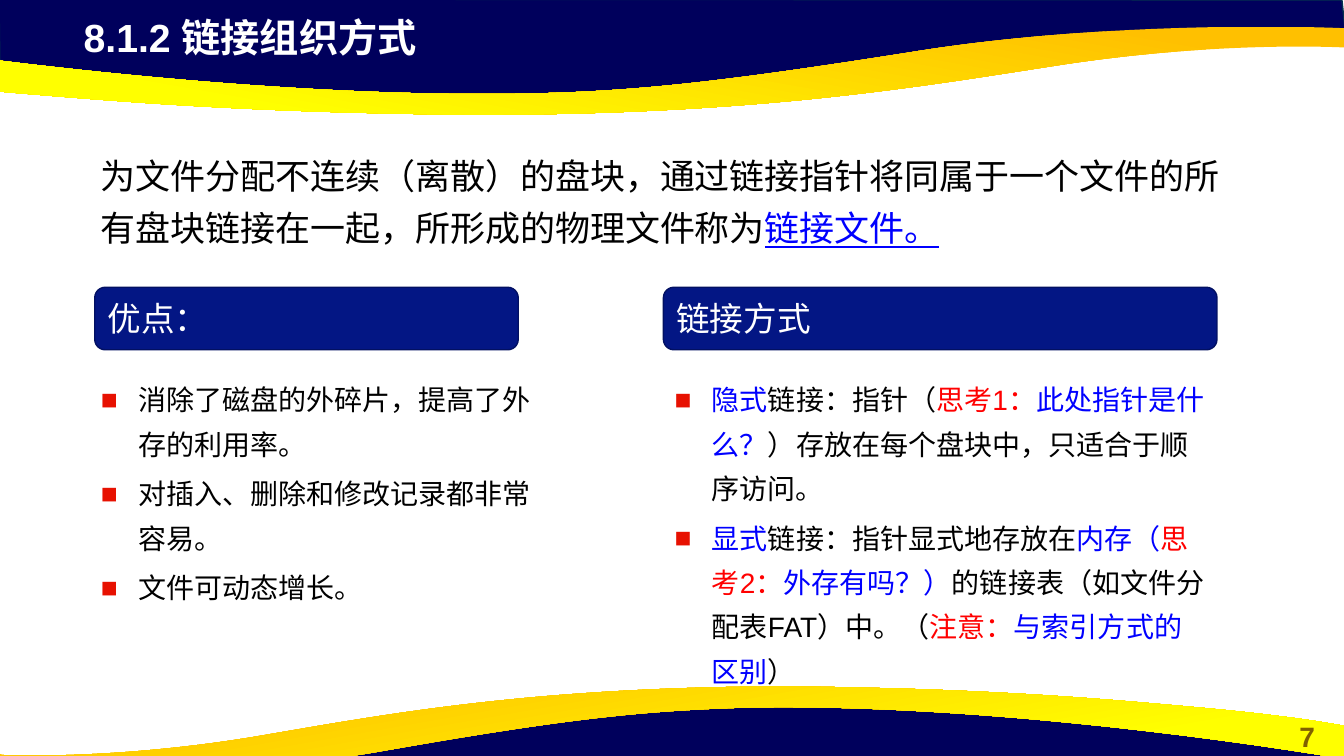
from lxml.etree import SubElement
from pptx import Presentation
from pptx.dml.color import RGBColor
from pptx.enum.shapes import MSO_SHAPE as Preset
from pptx.enum.text import MSO_ANCHOR as Anchor, MSO_AUTO_SIZE as AutoSize, PP_ALIGN as Align
from pptx.oxml.ns import qn
from pptx.util import Inches, Pt

WIDTH, HEIGHT = 13.33, 7.5
NAVY, NAVY_EDGE = "00005C", "05304F"
BAR, BAR_EDGE = "031684", "021062"
ORANGE, YELLOW = "FFC000", "FFFF00"
BLACK, WHITE, BLUE, RED = "000000", "FFFFFF", "0000FF", "FF0000"
BULLET, NUMBER = "E71101", "806000"

TOP_BAND = [(-0.01, -0.01), (0, 0.7), (2.93, 1.02), (5.59, 1), (7.95, 0.88), (10.16, 0.5),
            (12.38, 0.33), (13.35, 0.38), (13.31, 0)]
BOTTOM_BAND = [(13.33, 7.94), (13.32, 7.24), (10.4, 6.91), (7.73, 6.93), (5.38, 7.06),
               (3.17, 7.43), (0.95, 7.6), (-0.03, 7.56), (0.01, 7.93)]
TOP_WAVE = [(4.83, 1.14),
            (4.43, 1.14, 4.01, 1.13, 3.56, 1.12), (2.06, 1.08, 1.1, 1, 0.36, 0.94),
            (-0.88, 0.84, -1.3, 0.75, -1.33, 0.75), (-1.33, 0.42),
            (-1.33, 0.42, 2.18, 0.98, 5.17, 0.93), (6.26, 0.91, 7.08, 0.83, 9.15, 0.5),
            (11.21, 0.18, 13.33, 0.28, 13.33, 0.28), (13.33, 0.32), (13.33, 0.47), (13.3, 0.47),
            (13.05, 0.46, 11.95, 0.43, 10.55, 0.64), (9.18, 0.85, 7.62, 1.13, 4.83, 1.14)]
BOTTOM_WAVE = [(7.72, 6.81),
               (8.09, 6.81, 8.47, 6.82, 8.88, 6.83), (10.25, 6.87, 11.12, 6.95, 11.79, 7.01),
               (12.92, 7.11, 13.3, 7.2, 13.33, 7.2), (13.33, 7.53),
               (13.33, 7.53, 10.14, 6.97, 7.42, 7.02), (6.42, 7.05, 5.67, 7.12, 3.8, 7.45),
               (1.92, 7.78, -0.01, 7.68, -0.01, 7.68), (-0.01, 7.64), (-0.01, 7.48), (0.02, 7.49),
               (0.25, 7.5, 1.25, 7.52, 2.52, 7.31), (3.76, 7.1, 5.19, 6.82, 7.72, 6.81)]

ADVANTAGES = [
    [("消除了磁盘的外碎片，提高了外存的利用率。", BLACK)],
    [("对插入、删除和修改记录都非常容易。", BLACK)],
    [("文件可动态增长。", BLACK)],
]
LINK_TYPES = [
    [("隐式", BLUE), ("链接：指针（", BLACK), ("思考1：", RED), ("此处指针是什么？", BLUE),
     ("）存放在每个盘块中，只适合于顺序访问。", BLACK)],
    [("显式", BLUE), ("链接：指针显式地存放在", BLACK), ("内存（", BLUE), ("思考2：", RED),
     ("外存有吗？）", BLUE), ("的链接表（如文件分配表FAT）中。（", BLACK), ("注意：", RED),
     ("与索引方式的区别", BLUE), ("）", BLACK)],
]


def color(value):
    return RGBColor.from_string(value)


def add_span(para, text, size=20, ink=BLACK, bold=False, underline=False):
    span = para.add_run()
    span.text = text
    font = span.font
    font.name, font.size, font.bold, font.underline = "Arial", Pt(size), bold, underline
    font.color.rgb = color(ink)


class SlideBuilder:
    """Draws styled elements on the current slide."""

    def __init__(self, page):
        self.page = page

    def outline(self, segments):
        start, *rest = [tuple(map(Inches, segment[-2:])) for segment in segments]
        builder = self.page.shapes.build_freeform(*start)
        builder.add_line_segments(rest, close=True)
        shape = builder.convert_to_shape()
        shape.shadow.inherit = False
        lines = list(shape.element.iter(qn("a:lnTo")))
        for line, segment in zip(lines, segments[1:]):
            if len(segment) == 6:
                self.bend(shape, line, segment)
        return shape

    def bend(self, shape, line, segment):
        line.tag = qn("a:cubicBezTo")
        curve = SubElement(line.getparent(), qn("a:cubicBezTo"))
        line.getparent().replace(line, curve)
        for x, y in zip(segment[::2], segment[1::2]):
            SubElement(curve, qn("a:pt"), x=str(Inches(x) - shape.left),
                       y=str(Inches(y) - shape.top))

    def paint(self, shape, fill, edge):
        shape.fill.solid()
        shape.fill.fore_color.rgb = color(fill)
        shape.line.color.rgb = color(edge)
        shape.line.width = Pt(1)

    def band(self, points):
        self.paint(self.outline(points), NAVY, NAVY_EDGE)

    def wave(self, segments, angle):
        shape = self.outline(segments)
        shape.line.fill.background()
        shape.fill.gradient()
        shape.fill.gradient_angle = angle
        for stop, position, value in zip(shape.fill.gradient_stops, (0.11, 0.78), (ORANGE, YELLOW)):
            stop.position = position
            stop.color.rgb = color(value)

    def frame(self, box, anchor=Anchor.TOP):
        frame = box.text_frame
        frame.word_wrap = True
        frame.auto_size = AutoSize.NONE
        frame.vertical_anchor = anchor
        return frame

    def placeholder(self, index, left, top, width, height):
        box = self.page.placeholders[index]
        box.left, box.top, box.width, box.height = map(Inches, (left, top, width, height))
        box.element.getparent().append(box.element)
        return self.frame(box)

    def title(self, text, *area):
        para = self.placeholder(0, *area).paragraphs[0]
        para.alignment = Align.LEFT
        add_span(para, text, size=28, ink=WHITE, bold=True)

    def text(self, spans, *area, align=Align.LEFT, spacing=1.0):
        box = self.page.shapes.add_textbox(*map(Inches, area))
        para = self.frame(box).paragraphs[0]
        para.alignment, para.line_spacing = align, spacing
        for text, style in spans:
            add_span(para, text, **style)

    def bar(self, text, *area):
        shape = self.page.shapes.add_shape(Preset.ROUNDED_RECTANGLE, *map(Inches, area))
        shape.shadow.inherit = False
        self.paint(shape, BAR, BAR_EDGE)
        para = self.frame(shape, Anchor.MIDDLE).paragraphs[0]
        para.alignment = Align.LEFT
        add_span(para, text, size=24, ink=WHITE)

    def bullets(self, index, items, *area):
        frame = self.placeholder(index, *area)
        for number, spans in enumerate(items):
            para = frame.add_paragraph() if number else frame.paragraphs[0]
            self.mark(para)
            para.level = 1
            para.alignment = Align.LEFT
            para.line_spacing = 1.32
            para.space_before = Pt(3.7 if number else 0)
            for text, ink in spans:
                add_span(para, text, ink=ink)

    def mark(self, para):
        properties = para._p.get_or_add_pPr()
        properties.set("marL", str(Inches(0.37)))
        properties.set("indent", str(-Inches(0.37)))
        tint = SubElement(properties, qn("a:buClr"))
        SubElement(tint, qn("a:srgbClr"), val=BULLET)
        SubElement(properties, qn("a:buFont"), typeface="Arial")
        SubElement(properties, qn("a:buChar"), char="■")


def main():
    deck = Presentation()
    deck.slide_width, deck.slide_height = Inches(WIDTH), Inches(HEIGHT)
    builder = SlideBuilder(deck.slides.add_slide(deck.slide_layouts[3]))
    builder.band(TOP_BAND)
    builder.wave(TOP_WAVE, 260)
    builder.band(BOTTOM_BAND)
    builder.wave(BOTTOM_WAVE, 280)
    builder.text([("7", dict(size=20, ink=NUMBER, bold=True))], 12.6, 7.09, 0.73, 0.44,
                 align=Align.CENTER)
    builder.title("8.1.2 链接组织方式", 0.73, 0.08, 7.68, 0.57)
    builder.text([("为文件分配不连续（离散）的盘块，通过链接指针将同属于一个文件的所有盘块链接在一起，"
                   "所形成的物理文件称为", dict(size=25)),
                  ("链接文件。", dict(size=25, ink=BLUE, underline=True))],
                 0.9, 1.39, 11.39, 1.09, spacing=1.23)
    builder.bar("优点：", 0.94, 2.85, 4.2, 0.62)
    builder.bar("链接方式", 6.58, 2.85, 5.49, 0.62)
    builder.bullets(2, LINK_TYPES, 6.59, 3.64, 5.49, 3.21)
    builder.bullets(1, ADVANTAGES, 0.9, 3.64, 4.53, 3.13)
    deck.save("out.pptx")


if __name__ == "__main__":
    main()
